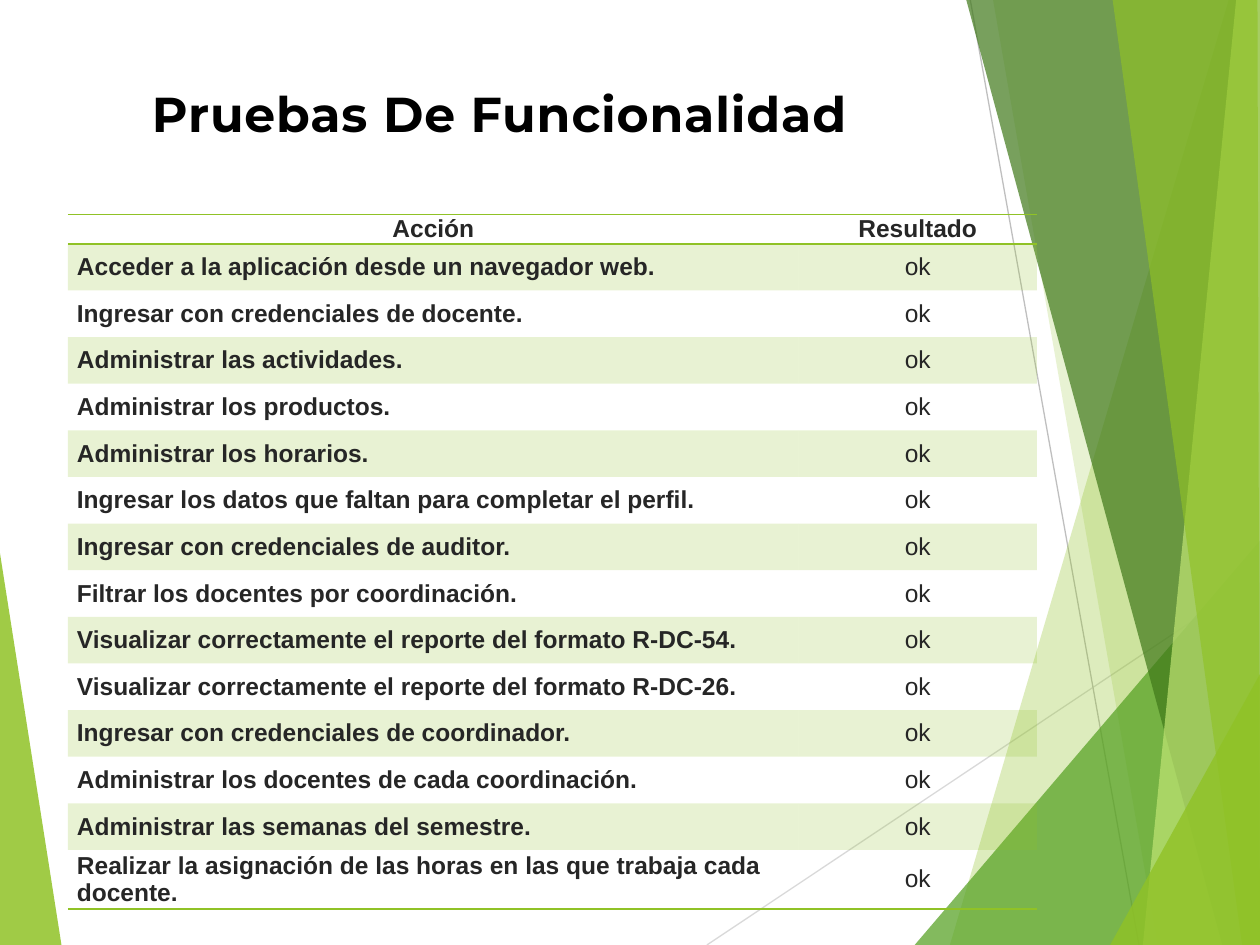
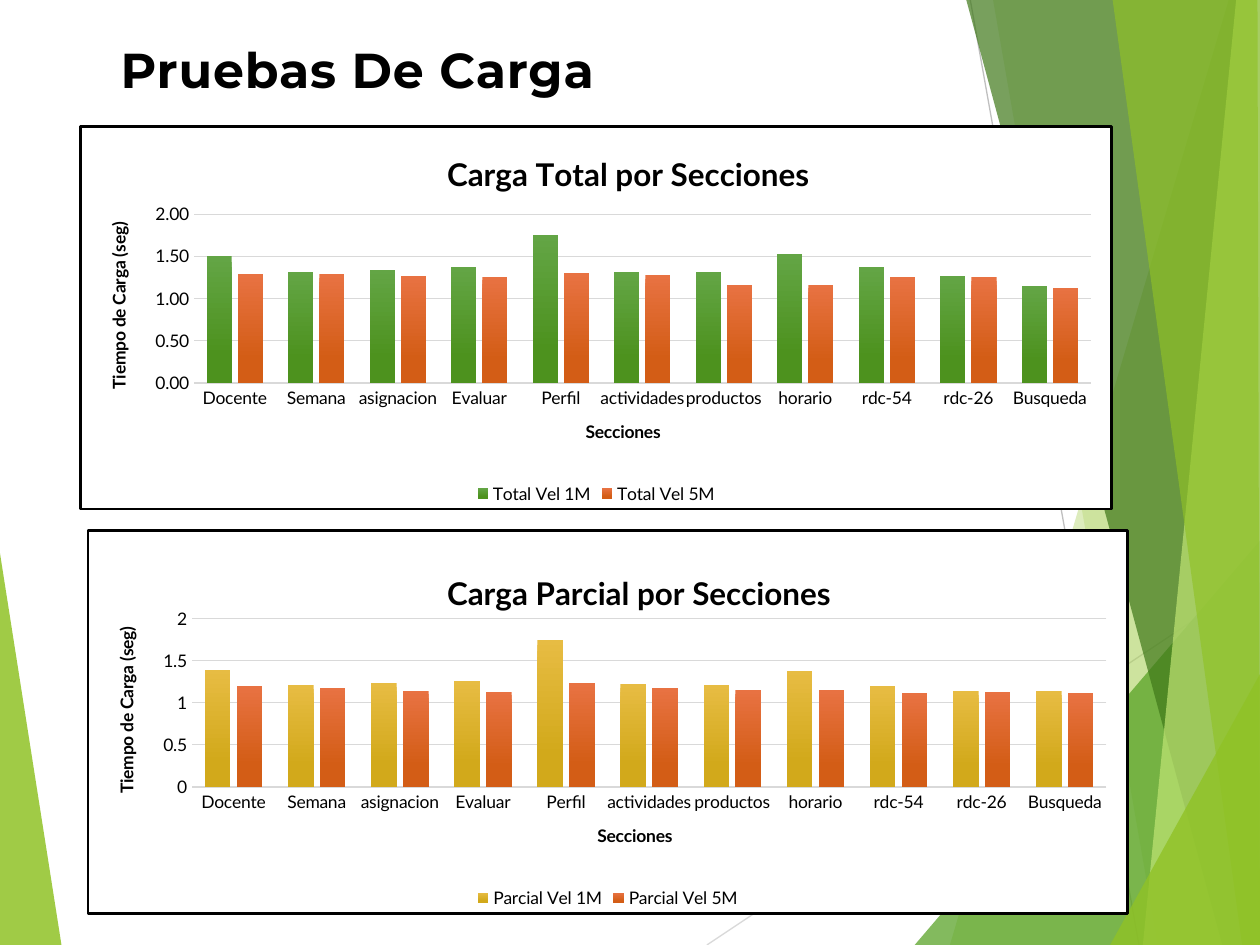
from lxml.etree import SubElement
from pptx import Presentation
from pptx.chart.data import CategoryChartData as ChartData
from pptx.dml.color import RGBColor as RGB
from pptx.enum.chart import XL_CHART_TYPE as Kind
from pptx.enum.chart import XL_LEGEND_POSITION as Legend
from pptx.enum.chart import XL_TICK_MARK as Tick
from pptx.enum.shapes import MSO_CONNECTOR as Link
from pptx.enum.text import MSO_ANCHOR as Anchor
from pptx.enum.text import MSO_AUTO_SIZE as Fit
from pptx.enum.text import PP_ALIGN as Align
from pptx.oxml import parse_xml
from pptx.oxml.ns import nsdecls, qn
from pptx.util import Cm, Pt

BLACK = RGB(0x00, 0x00, 0x00)
INK = RGB(0x26, 0x26, 0x26)
LIME = RGB(0x90, 0xC2, 0x26)
PALE = RGB(0xC0, 0xE4, 0x74)
GREEN = RGB(0x54, 0xA0, 0x21)
DARK = RGB(0x3F, 0x78, 0x19)
SILVER = RGB(0xD9, 0xD9, 0xD9)
GREY = RGB(0xBF, 0xBF, 0xBF)
LEAF = (RGB(0x63, 0xA5, 0x45), RGB(0x4D, 0x92, 0x1E))
GOLD = (RGB(0xE7, 0xBC, 0x43), RGB(0xD2, 0xA9, 0x1B))
RUST = (RGB(0xE8, 0x72, 0x42), RGB(0xD3, 0x5D, 0x16))

WIDE, HIGH = 25.4, 19.05
PLAIN = "{2D5ABB26-0587-4C30-8999-92F81FD0307C}"

SHARDS = [
    ([(0, 11.15), (1.24, HIGH), (0, HIGH)], LIME, 85),
    ([(24.77, 0), (19.15, HIGH), (WIDE, HIGH), (WIDE, 0)], LIME, 30),
    ([(20.02, 0), (23.34, HIGH), (WIDE, HIGH), (WIDE, 0)], LIME, 20),
    ([(18.44, HIGH), (WIDE, 10.9), (WIDE, HIGH)], GREEN, 72),
    ([(19.48, 0), (24.64, HIGH), (WIDE, HIGH), (WIDE, 0)], DARK, 70),
    ([(24.92, 0), (23.04, HIGH), (WIDE, HIGH), (WIDE, 0)], PALE, 70),
    ([(22.43, 0), (25.04, HIGH), (WIDE, HIGH), (25.35, 0)], LIME, 65),
    ([(22.38, HIGH), (WIDE, 13.59), (WIDE, HIGH)], LIME, 80),
]
RAYS = [
    ((14.25, HIGH), (WIDE, 11.61), SILVER),
    ((19.56, 0), (22.96, HIGH), GREY),
]

TESTS = [
    "Acceder a la aplicación desde un navegador web.",
    "Ingresar con credenciales de docente.",
    "Administrar las actividades.",
    "Administrar los productos.",
    "Administrar los horarios.",
    "Ingresar los datos que faltan para completar el perfil.",
    "Ingresar con credenciales de auditor.",
    "Filtrar los docentes por coordinación.",
    "Visualizar correctamente el reporte del formato R-DC-54.",
    "Visualizar correctamente el reporte del formato R-DC-26.",
    "Ingresar con credenciales de coordinador.",
    "Administrar los docentes de cada coordinación.",
    "Administrar las semanas del semestre.",
    "Realizar la asignación de las horas en las que trabaja cada docente.",
]

PARTS = ["Docente", "Semana", "asignacion", "Evaluar", "Perfil", "actividades",
         "productos", "horario", "rdc-54", "rdc-26", "Busqueda"]
TOTAL = [
    ("Total Vel 1M", LEAF,
     [1.5, 1.32, 1.34, 1.37, 1.75, 1.31, 1.32, 1.53, 1.37, 1.27, 1.15]),
    ("Total Vel 5M", RUST,
     [1.29, 1.29, 1.27, 1.26, 1.3, 1.28, 1.16, 1.16, 1.25, 1.25, 1.13]),
]
PARTIAL = [
    ("Parcial Vel 1M", GOLD,
     [1.39, 1.21, 1.24, 1.26, 1.75, 1.22, 1.21, 1.38, 1.2, 1.14, 1.14]),
    ("Parcial Vel 5M", RUST,
     [1.2, 1.18, 1.14, 1.13, 1.23, 1.17, 1.15, 1.15, 1.12, 1.13, 1.12]),
]


def write(frame, text, size, face, color, bold=True):
    run = frame.paragraphs[0].add_run()
    run.text = text
    font = run.font
    font.size, font.name, font.bold = Pt(size), face, bold
    font.color.rgb = color
    return run


def fade(node, share):
    for tint in node.iter(qn("a:srgbClr")):
        SubElement(tint, qn("a:alpha")).set("val", str(share * 1000))


def add_shard(group, points, color, share):
    spots = [(Cm(x), Cm(y)) for x, y in points]
    pen = group.shapes.build_freeform(*spots[0])
    pen.add_line_segments(spots[1:], close=True)
    shard = pen.convert_to_shape()
    shard.shadow.inherit = False
    shard.fill.solid()
    shard.fill.fore_color.rgb = color
    shard.line.fill.background()
    fade(shard.element, share)


def add_ray(group, start, end, color):
    ray = group.shapes.add_connector(
        Link.STRAIGHT, *(Cm(n) for n in start + end))
    ray.line.color.rgb = color
    ray.line.width = Pt(0.75)
    SubElement(ray.element.spPr, qn("a:effectLst"))


def dress(layout, slide):
    group = slide.shapes.add_group_shape()
    add_shard(group, *SHARDS[0])
    for ray in RAYS:
        add_ray(group, *ray)
    for shard in SHARDS[1:]:
        add_shard(group, *shard)
    tree = layout.shapes.element
    tree.append(group.element)
    for num, node in enumerate(tree.iter(qn("p:cNvPr")), 1):
        node.set("id", str(num))


def set_title(slide, text, left, top, width):
    title = slide.shapes.title
    title.left, title.top = Cm(left), Cm(top)
    title.width, title.height = Cm(width), Cm(1.24)
    frame = title.text_frame
    frame.word_wrap = True
    frame.auto_size = Fit.SHAPE_TO_FIT_TEXT
    frame.vertical_anchor = Anchor.TOP
    para = frame.paragraphs[0]
    para.alignment, para.line_spacing = Align.CENTER, 0.8
    run = write(frame, text, 28, "Montserrat", BLACK)
    run.font._element.set("spc", "50")


def fill_cell(cell, text, bold, align, band, sides):
    cell.margin_left = cell.margin_right = Cm(0.18)
    cell.margin_top = cell.margin_bottom = 0
    cell.vertical_anchor = Anchor.MIDDLE
    cell.text_frame.paragraphs[0].alignment = align
    write(cell.text_frame, text, 14, "Arial", INK, bold)
    props = cell._tc.get_or_add_tcPr()
    if band:
        cell.fill.solid()
        cell.fill.fore_color.rgb = LIME
        fade(props, 20)
    else:
        cell.fill.background()
    for spot, side in enumerate(sides):
        props.insert(spot, parse_xml(
            f'<a:ln{side} {nsdecls("a")} w="12700"><a:solidFill>'
            f'<a:srgbClr val="{LIME}"/></a:solidFill></a:ln{side}>'))


def add_tests(slide):
    count = len(TESTS) + 1
    frame = slide.shapes.add_table(
        count, 2, Cm(1.37), Cm(4.32), Cm(19.53), Cm(13.8))
    table = frame.table
    table.first_row = table.horz_banding = False
    next(frame.element.iter(qn("a:tableStyleId"))).text = PLAIN
    table.columns[0].width, table.columns[1].width = Cm(14.73), Cm(4.8)
    for num in range(count):
        table.rows[num].height = Cm(0.94 if num else 0.56)
    for col, head in enumerate(("Acción", "Resultado")):
        fill_cell(table.cell(0, col), head, True, Align.CENTER, False, "TB")
    for num, test in enumerate(TESTS, 1):
        look = (num % 2 == 1, "B" if num == len(TESTS) else "")
        fill_cell(table.cell(num, 0), test, True, Align.LEFT, *look)
        fill_cell(table.cell(num, 1), "ok", False, Align.CENTER, *look)


def place(node, spot, inner=False, **sizes):
    old = node.find(qn("c:layout"))
    if old is not None:
        node.remove(old)
    marks = '<c:layoutTarget val="inner"/>' if inner else ""
    marks += '<c:xMode val="edge"/><c:yMode val="edge"/>'
    marks += "".join(f'<c:{key} val="{val}"/>' for key, val in sizes.items())
    node.insert(spot, parse_xml(
        f'<c:layout {nsdecls("c")}><c:manualLayout>{marks}'
        '</c:manualLayout></c:layout>'))


def frame_chart(chart):
    chart.element.find(qn("c:chart")).addnext(parse_xml(
        f'<c:spPr {nsdecls("c", "a")}><a:solidFill><a:srgbClr val="FFFFFF"/>'
        f'</a:solidFill><a:ln w="19050"><a:solidFill><a:srgbClr val="{BLACK}"/>'
        '</a:solidFill></a:ln></c:spPr>'))


def style_axes(chart, code):
    cat, val = chart.category_axis, chart.value_axis
    for axis, name in ((cat, "Secciones"), (val, "Tiempo de Carga (seg)")):
        axis.major_tick_mark = axis.minor_tick_mark = Tick.NONE
        write(axis.axis_title.text_frame, name, 10, "Lato", BLACK)
    turn = next(val.axis_title.element.iter(qn("a:bodyPr")))
    turn.set("rot", "-5400000")
    turn.set("vert", "horz")
    cat.format.line.color.rgb = SILVER
    cat.format.line.width = Pt(1)
    cat.tick_labels.font.size = Pt(10)
    next(cat._element.find(qn("c:txPr")).iter(qn("a:bodyPr"))).set(
        "rot", "-60000000")
    val.format.line.fill.background()
    val.minimum_scale, val.maximum_scale, val.major_unit = 0, 2, 0.5
    val.major_gridlines.format.line.color.rgb = SILVER
    val.major_gridlines.format.line.width = Pt(0.75)
    val.tick_labels.number_format = code
    val.tick_labels.number_format_is_linked = False


def add_loads(slide, text, rows, box, code, head, plot_box):
    data = ChartData()
    data.categories = PARTS
    for name, _, vals in rows:
        data.add_series(name, vals)
    chart = slide.shapes.add_chart(
        Kind.COLUMN_CLUSTERED, *(Cm(n) for n in box), data).chart
    font = chart.font
    font.size, font.name = Pt(10), "Lato"
    font.color.rgb = BLACK
    frame_chart(chart)
    write(chart.chart_title.text_frame, text, 18, "Lato", BLACK)
    place(chart.chart_title._element, 1, x=head[0], y=head[1])
    left, width = plot_box
    place(next(chart.element.iter(qn("c:plotArea"))), 0, True,
          x=left, y=0.23, w=width, h=0.44)
    chart.has_legend = True
    chart.legend.position = Legend.BOTTOM
    chart.legend.include_in_layout = False
    style_axes(chart, code)
    plot = chart.plots[0]
    plot.gap_width, plot.overlap = 100, -24
    plot.vary_by_categories = False
    for series, (_, tints, _) in zip(plot.series, rows):
        fill = series.format.fill
        fill.gradient()
        fill.gradient_angle = 270
        for stop, tint, spot in zip(fill.gradient_stops, tints, (0, 0.78)):
            stop.color.rgb, stop.position = tint, spot


def main():
    deck = Presentation()
    deck.slide_width, deck.slide_height = Cm(WIDE), Cm(HIGH)
    layout = deck.slide_layouts[5]

    tests = deck.slides.add_slide(layout)
    dress(layout, tests)
    set_title(tests, "Pruebas De Funcionalidad", 1.37, 1.78, 17.4)
    add_tests(tests)

    loads = deck.slides.add_slide(layout)
    set_title(loads, "Pruebas De Carga", 0.97, 0.89, 12.47)
    add_loads(loads, "Carga Parcial por Secciones", PARTIAL,
              (1.75, 10.67, 21, 7.77), "General", (0.34, 0.09), (0.1, 0.88))
    add_loads(loads, "Carga Total por Secciones", TOTAL,
              (1.6, 2.52, 20.83, 7.77), "0.00", (0.35, 0.05), (0.11, 0.87))

    deck.save("out.pptx")


if __name__ == "__main__":
    main()
